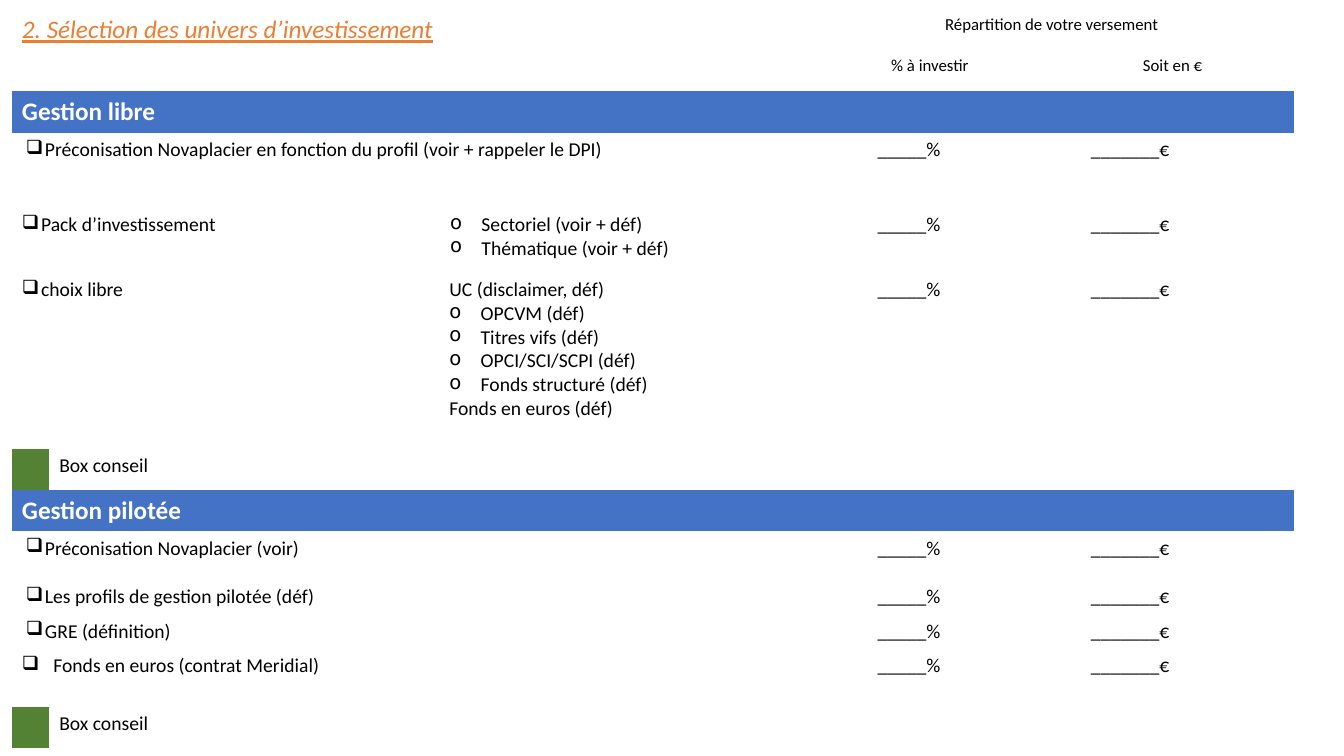
"""Build the slide that presents the choice of investment universes."""
from dataclasses import dataclass

from lxml.etree import SubElement
from pptx import Presentation
from pptx.dml.color import RGBColor
from pptx.enum.text import PP_ALIGN
from pptx.oxml.ns import qn
from pptx.table import Table, _Cell
from pptx.text.text import _Paragraph
from pptx.util import Cm, Pt

ORANGE = RGBColor(0xED, 0x7D, 0x31)
BLUE = RGBColor(0x44, 0x72, 0xC4)
GREEN = RGBColor(0x54, 0x82, 0x35)
WHITE = RGBColor(0xFF, 0xFF, 0xFF)
BLACK = RGBColor(0x00, 0x00, 0x00)

PLAIN_TABLE_STYLE = "{2D5ABB26-0587-4C30-8999-92F81FD0307C}"
COLUMN_WIDTHS = (0.94, 9.83, 5.38, 3.94, 1.47, 2.69, 1.93, 0.76, 2.69, 2.69)
BOX = "❑"
CIRCLE = "o"

FORMATS = {
    "title": {"size": Pt(18), "italic": True, "underline": True},
    "heading": {"size": Pt(12)},
    "section": {"size": Pt(18), "bold": True},
    "body": {"size": Pt(14)},
}
COLOURS = {"title": ORANGE, "heading": BLACK, "section": WHITE, "body": BLACK}


@dataclass(frozen=True)
class Line:
    text: str
    style: str = "body"
    bullet: str = ""
    indent: float = 0
    hanging: float = 0
    alignment: PP_ALIGN = PP_ALIGN.LEFT


@dataclass(frozen=True)
class Block:
    span: int = 1
    lines: tuple[Line, ...] = ()
    fill: RGBColor | None = None


@dataclass(frozen=True)
class Row:
    height: float
    blocks: tuple[Block, ...]


def heading(text: str, span: int) -> Block:
    """Return a centred column heading."""
    return Block(span, (Line(text, "heading", alignment=PP_ALIGN.CENTER),))


def section_row(title: str) -> Row:
    """Return a full-width blue section bar."""
    return Row(1.04, (Block(10, (Line(title, "section"),), BLUE),))


def choice_row(height: float, label: str, indent: float = 0.58, hanging: float = 0.48,
               details: tuple[Line, ...] | None = None) -> Row:
    """Return a tick-box row with its percentage and amount fields."""
    label_line = (Line(label, "body", BOX, indent, hanging),)
    if details is None:
        label_blocks = (Block(5, label_line),)
    else:
        label_blocks = (Block(2, label_line), Block(3, details))
    return Row(height, label_blocks + (Block(3, (Line("_____%"),)), Block(2, (Line("_______€"),))))


def advice_row(*spans: int) -> Row:
    """Return a green advice marker row."""
    return Row(1.04, (Block(fill=GREEN), Block(spans[0], (Line("Box conseil"),)),
                      *(Block(span) for span in spans[1:])))


def circles(indent: float, *texts: str) -> tuple[Line, ...]:
    """Return sub-choices marked with circles."""
    return tuple(Line(text, "body", CIRCLE, indent, 0.79) for text in texts)


ROWS = (
    Row(1.02, (Block(4, (Line("2. Sélection des univers d’investissement", "title"),)),
               heading("Répartition de votre versement", 6))),
    Row(1.02, (Block(4), heading("% à investir", 3), heading("Soit en €", 3))),
    section_row("Gestion libre"),
    choice_row(0.87, "Préconisation Novaplacier en fonction du profil (voir + rappeler le DPI)"),
    Row(1.02, (Block(5), Block(5))),
    choice_row(1.64, "Pack d’investissement", 0.48,
               details=circles(0.81, "Sectoriel (voir + déf)", "Thématique (voir + déf)")),
    choice_row(4.44, "choix libre", 0.48, details=(
        Line("UC (disclaimer, déf)"),
        *circles(0.79, "OPCVM (déf)", "Titres vifs (déf)", "OPCI/SCI/SCPI (déf)",
                 "Fonds structuré (déf)"),
        Line("Fonds en euros (déf)"))),
    advice_row(9),
    section_row("Gestion pilotée"),
    choice_row(1.22, "Préconisation Novaplacier (voir)"),
    choice_row(0.87, "Les profils de gestion pilotée (déf)", details=()),
    choice_row(0.87, "GRE (définition)", details=()),
    choice_row(1.46, "Fonds en euros (contrat Meridial)", 0.79, 0.79, ()),
    advice_row(1, 1, 2, 1, 2, 1, 1),
)


def write_line(paragraph: _Paragraph, line: Line) -> None:
    """Write one formatted line into a paragraph."""
    paragraph.alignment = line.alignment
    if line.bullet:
        properties = paragraph._p.get_or_add_pPr()
        properties.set("marL", str(Cm(line.indent)))
        properties.set("indent", str(-Cm(line.hanging)))
        SubElement(properties, qn("a:buChar"), char=line.bullet)
    run = paragraph.add_run()
    run.text = line.text
    run.font.name = "Calibri"
    run.font.color.rgb = COLOURS[line.style]
    for attribute, value in FORMATS[line.style].items():
        setattr(run.font, attribute, value)


def fill_cell(cell: _Cell, block: Block) -> None:
    """Fill a cell with the colour and lines of its block."""
    if block.fill is None:
        cell.fill.background()
    else:
        cell.fill.solid()
        cell.fill.fore_color.rgb = block.fill
    for index, line in enumerate(block.lines):
        paragraph = cell.text_frame.add_paragraph() if index else cell.text_frame.paragraphs[0]
        write_line(paragraph, line)
    if not block.lines:
        SubElement(cell.text_frame.paragraphs[0]._p, qn("a:endParaRPr"), sz="1200")


def fill_row(table: Table, row_index: int, row: Row) -> None:
    """Merge and fill the cells of one table row."""
    table.rows[row_index].height = Cm(row.height)
    column = 0
    for block in row.blocks:
        cell = table.cell(row_index, column)
        if block.span > 1:
            cell.merge(table.cell(row_index, column + block.span - 1))
        fill_cell(cell, block)
        for offset in range(1, block.span):
            fill_cell(table.cell(row_index, column + offset), Block(fill=block.fill))
        column += block.span


def main() -> None:
    """Create and save the presentation."""
    presentation = Presentation()
    presentation.slide_width = Cm(33.87)
    presentation.slide_height = Cm(19.05)
    slide = presentation.slides.add_slide(presentation.slide_layouts[6])
    shape = slide.shapes.add_table(len(ROWS), len(COLUMN_WIDTHS), Cm(0.3), Cm(0.25),
                                   Cm(sum(COLUMN_WIDTHS)), Cm(sum(row.height for row in ROWS)))
    table = shape.table
    table.first_row = False
    table.horz_banding = False
    table._tbl.tblPr.find(qn("a:tableStyleId")).text = PLAIN_TABLE_STYLE
    for column, width in zip(table.columns, COLUMN_WIDTHS):
        column.width = Cm(width)
    for row_index, row in enumerate(ROWS):
        fill_row(table, row_index, row)
    presentation.save("out.pptx")


if __name__ == "__main__":
    main()
